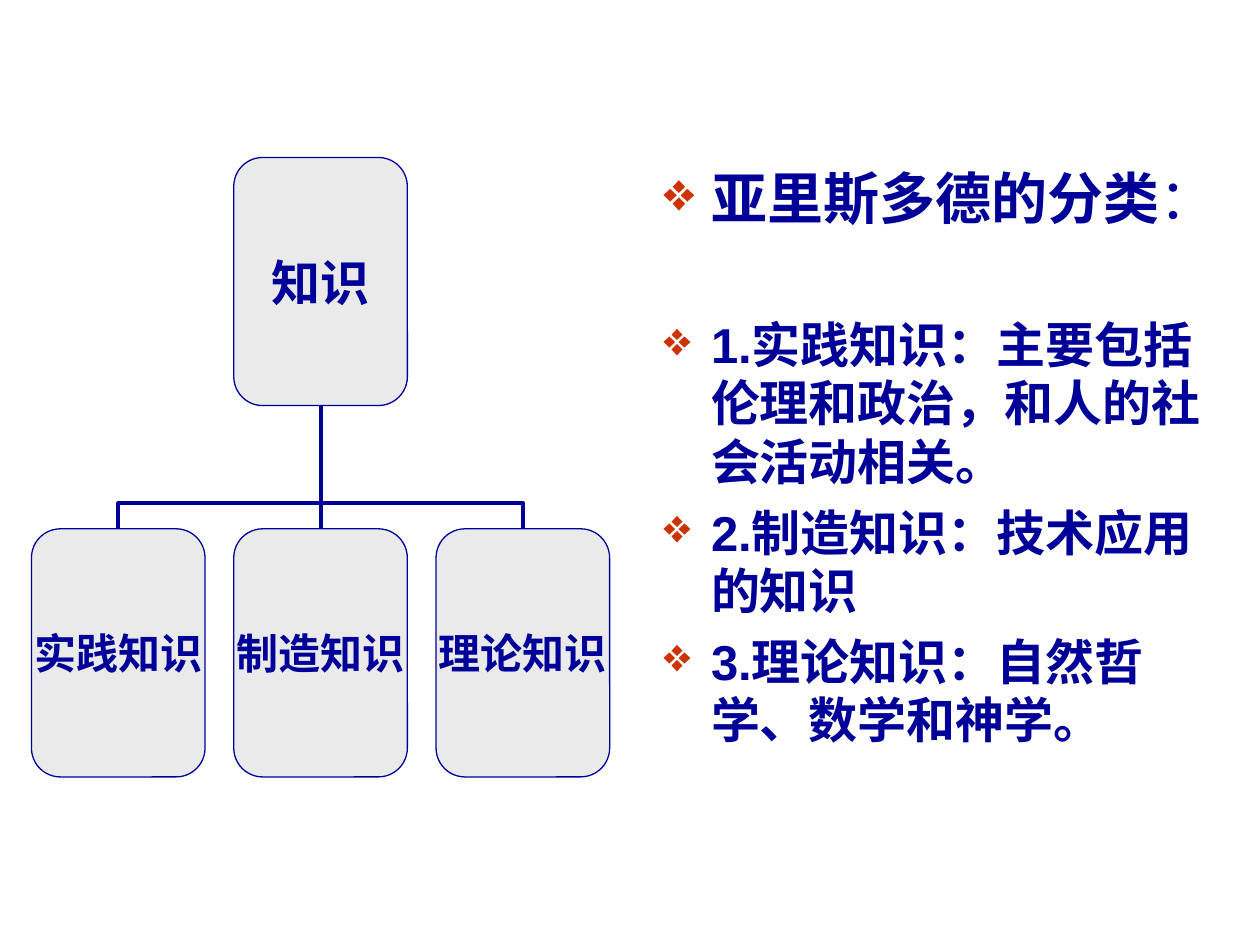
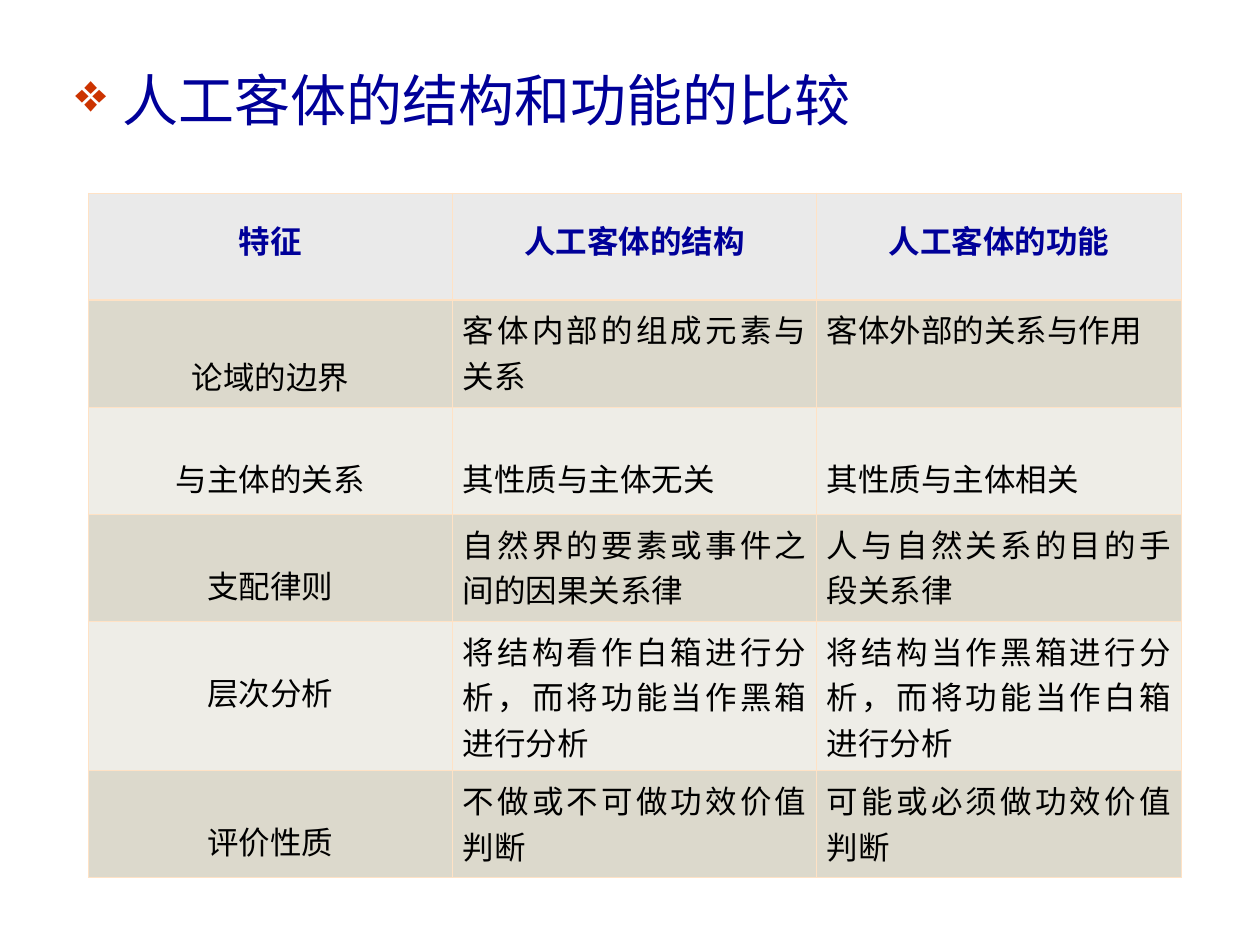
from dataclasses import dataclass
from typing import Optional

from lxml import etree
from pptx import Presentation
from pptx.dml.color import RGBColor
from pptx.enum.lang import MSO_LANGUAGE_ID as Language
from pptx.enum.shapes import MSO_CONNECTOR as Connector, MSO_SHAPE as Preset
from pptx.enum.text import MSO_ANCHOR as Anchor, PP_ALIGN as Align
from pptx.oxml.ns import qn
from pptx.util import Pt

NAVY, BULLET_RED, BLACK = "000099", "CC3300", "000000"
PALE_GREY, SAND, IVORY, PEACH = "EAEAEA", "DCD9CC", "EEEDE7", "FFE2C5"
SANS, SERIF = "Arial", "Times New Roman"
HANGING_INDENT = 27
TITLE_SIZE, TITLE_LEADING = 32, 38.4
BODY_SIZE, BODY_LEADING = 28, 33.4

NODE_WIDTH, NODE_HEIGHT = 99.2, 141.8
NODE_LEFT, NODE_STEP = 18, 115.6
ROOT_TOP, BRANCH_TOP = 90, 302.2
BEND_SHARE = 20800  # thousandths of a percent of the drop, from the branch

CELL_MARGIN_X, CELL_MARGIN_Y = 5.8, 3.6
TABLE_SIZE = 18


@dataclass
class Span:
    text: str
    bold: bool = False


@dataclass
class Bullet:
    spans: list[Span]
    size: float = BODY_SIZE
    leading: float = BODY_LEADING
    before: float = 7


@dataclass
class Node:
    text: str
    column: int
    top: float
    size: float = 24

    @property
    def left(self) -> float:
        return NODE_LEFT + self.column * NODE_STEP

    @property
    def center(self) -> float:
        return self.left + NODE_WIDTH / 2


@dataclass
class TableRow:
    texts: list[str]
    fill: str
    drops: list[float]  # how far each cell's text sits below the top margin
    height: float = 61.2


CLASSIFICATION = [
    Bullet([Span("亚里斯多德的分类", True), Span("：")], TITLE_SIZE, TITLE_LEADING, 0),
    Bullet([Span("1.实践知识：主要包括伦理和政治，和人的社会活动相关。", True)], before=48),
    Bullet([Span("2.制造知识：技术应用的知识", True)]),
    Bullet([Span("3.理论知识：自然哲学、数学和神学。", True)]),
]
COMPARISON_TITLE = [
    Bullet([Span("人工客体的结构和功能的比较")], TITLE_SIZE, TITLE_LEADING, 0),
]
ROOT = Node("知识", 1, ROOT_TOP, 28)
BRANCHES = [
    Node(text, column, BRANCH_TOP)
    for column, text in enumerate(["实践知识", "制造知识", "理论知识"])
]
LABEL_DROP = [23.6, 0, 0]
COMPARISON = [
    TableRow(["特征", "人工客体的结构", "人工客体的功能"], PALE_GREY, [18] * 3),
    TableRow(["论域的边界", "客体内部的组成元素与关系", "客体外部的关系与作用"],
             SAND, [26.4, 0, 0]),
    TableRow(["与主体的关系", "其性质与主体无关", "其性质与主体相关"],
             IVORY, [23.6] * 3),
    TableRow(["支配律则", "自然界的要素或事件之间的因果关系律",
              "人与自然关系的目的手段关系律"], SAND, LABEL_DROP),
    TableRow(["层次分析", "将结构看作白箱进行分析，而将功能当作黑箱进行分析",
              "将结构当作黑箱进行分析，而将功能当作白箱进行分析"],
             IVORY, LABEL_DROP, 85.4),
    TableRow(["评价性质", "不做或不可做功效价值判断", "可能或必须做功效价值判断"],
             SAND, LABEL_DROP),
]


def color(value: str) -> RGBColor:
    return RGBColor.from_string(value)


def add_span(para, text: str, size: float, font: str = SANS,
             fill: str = NAVY, bold: bool = False) -> None:
    span = para.add_run()
    span.text = text
    span.font.size = Pt(size)
    span.font.name = font
    span.font.bold = bold
    span.font.color.rgb = color(fill)
    span.font.language_id = Language.SIMPLIFIED_CHINESE


def set_bullet(para) -> None:
    """Give the paragraph a hanging red diamond and keep punctuation inside the box."""
    properties = para._p.get_or_add_pPr()
    properties.set("marL", str(Pt(HANGING_INDENT)))
    properties.set("indent", str(-Pt(HANGING_INDENT)))
    properties.set("hangingPunct", "0")
    holder = etree.SubElement(properties, qn("a:buClr"))
    etree.SubElement(holder, qn("a:srgbClr"), val=BULLET_RED)
    etree.SubElement(properties, qn("a:buSzPct"), val="97000")
    etree.SubElement(properties, qn("a:buChar"), char="❖")


def add_bullets(page, left: float, top: float, width: float, height: float,
                bullets: list[Bullet]) -> None:
    box = page.shapes.add_textbox(Pt(left), Pt(top), Pt(width), Pt(height))
    frame = box.text_frame
    frame.word_wrap = True
    for index, bullet in enumerate(bullets):
        para = frame.add_paragraph() if index else frame.paragraphs[0]
        set_bullet(para)
        para.line_spacing = Pt(bullet.leading)
        if bullet.before:
            para.space_before = Pt(bullet.before)
        for span in bullet.spans:
            add_span(para, span.text, bullet.size, bold=span.bold)


def add_node(page, node: Node) -> None:
    box = page.shapes.add_shape(Preset.ROUNDED_RECTANGLE, Pt(node.left), Pt(node.top),
                                Pt(NODE_WIDTH), Pt(NODE_HEIGHT))
    box.shadow.inherit = False
    box.fill.solid()
    box.fill.fore_color.rgb = color(PALE_GREY)
    box.line.color.rgb = color(NAVY)
    box.line.width = Pt(0.75)
    frame = box.text_frame
    frame.word_wrap = False
    frame.vertical_anchor = Anchor.MIDDLE
    frame.margin_left = frame.margin_right = frame.margin_top = frame.margin_bottom = 0
    para = frame.paragraphs[0]
    para.alignment = Align.CENTER
    add_span(para, node.text, node.size, bold=True)


def add_link(page, branch: Node, root: Node) -> None:
    """Join the top of a branch to the bottom of the root.

    An elbow leaves sideways, so it is laid out lying down and then turned.
    """
    root_bottom = root.top + NODE_HEIGHT
    drop = branch.top - root_bottom
    offset = branch.center - root.center
    if offset == 0:
        kind = Connector.STRAIGHT
        begin, end = (branch.center, branch.top), (root.center, root_bottom)
    else:
        kind = Connector.ELBOW
        middle_x = (branch.center + root.center) / 2
        middle_y = (branch.top + root_bottom) / 2
        side = 1 if offset > 0 else -1
        half_span = abs(offset) / 2
        begin = (middle_x - side * drop / 2, middle_y + half_span)
        end = (middle_x + side * drop / 2, middle_y - half_span)
    link = page.shapes.add_connector(kind, *map(Pt, begin + end))
    link.line.color.rgb = color(NAVY)
    link.line.width = Pt(2.25)
    properties = link._element.spPr
    etree.SubElement(properties, qn("a:effectLst"))
    if offset:
        turn = 270 if offset > 0 else 90
        properties.find(qn("a:xfrm")).set("rot", str(turn * 60000))
        guides = properties.find(qn("a:prstGeom")).find(qn("a:avLst"))
        etree.SubElement(guides, qn("a:gd"), name="adj1", fmla=f"val {BEND_SHARE}")


def set_borders(cell, top: float, bottom: float) -> None:
    properties = cell._tc.get_or_add_tcPr()
    sides = {"a:lnL": 0.45, "a:lnR": 0.45, "a:lnT": top, "a:lnB": bottom}
    for place, (tag, width) in enumerate(sides.items()):
        line = etree.Element(qn(tag), w=str(Pt(width)))
        fill = etree.SubElement(line, qn("a:solidFill"))
        etree.SubElement(fill, qn("a:srgbClr"), val=PEACH)
        properties.insert(place, line)


def fill_cell(cell, text: str, fill: str, drop: float, align: Align,
              leading: Optional[float], ink: str) -> None:
    cell.fill.solid()
    cell.fill.fore_color.rgb = color(fill)
    cell.margin_left = cell.margin_right = Pt(CELL_MARGIN_X)
    cell.margin_top = Pt(CELL_MARGIN_Y + drop)
    cell.margin_bottom = Pt(CELL_MARGIN_Y)
    para = cell.text_frame.paragraphs[0]
    para.alignment = align
    if leading:
        para.line_spacing = Pt(leading)
    add_span(para, text, TABLE_SIZE, SERIF, ink, bold=ink == NAVY)


def add_comparison(page, left: float, top: float, width: float,
                   rows: list[TableRow]) -> None:
    count = len(rows[0].texts)
    height = sum(row.height for row in rows)
    table = page.shapes.add_table(len(rows), count, Pt(left), Pt(top),
                                  Pt(width), Pt(height)).table
    table.first_row = table.horz_banding = False
    for column in table.columns:
        column.width = Pt(width / count)
    for row_index, row in enumerate(rows):
        table.rows[row_index].height = Pt(row.height)
        header = row_index == 0
        for column_index, (text, drop) in enumerate(zip(row.texts, row.drops)):
            cell = table.cell(row_index, column_index)
            centred = header or column_index == 0
            fill_cell(cell, text, row.fill, drop,
                      Align.CENTER if centred else Align.JUSTIFY,
                      TABLE_SIZE if header else None, NAVY if header else BLACK)
            set_borders(cell, 1.47 if row_index == 1 else 0.45,
                        1.47 if header else 0.45)


def build_classification(page) -> None:
    add_bullets(page, 372.2, 90, 330.5, 347.8, CLASSIFICATION)
    for branch in reversed(BRANCHES):
        add_link(page, branch, ROOT)
    for node in [ROOT, *BRANCHES]:
        add_node(page, node)


def build_comparison(page) -> None:
    add_bullets(page, 36, 33.8, 648, 448.6, COMPARISON_TITLE)
    add_comparison(page, 50.4, 110.2, 624.6, COMPARISON)


def main() -> None:
    deck = Presentation()
    deck.slide_width, deck.slide_height = Pt(720), Pt(540)
    blank = deck.slide_layouts[6]
    for build in (build_classification, build_comparison):
        build(deck.slides.add_slide(blank))
    deck.save("out.pptx")


if __name__ == "__main__":
    main()
